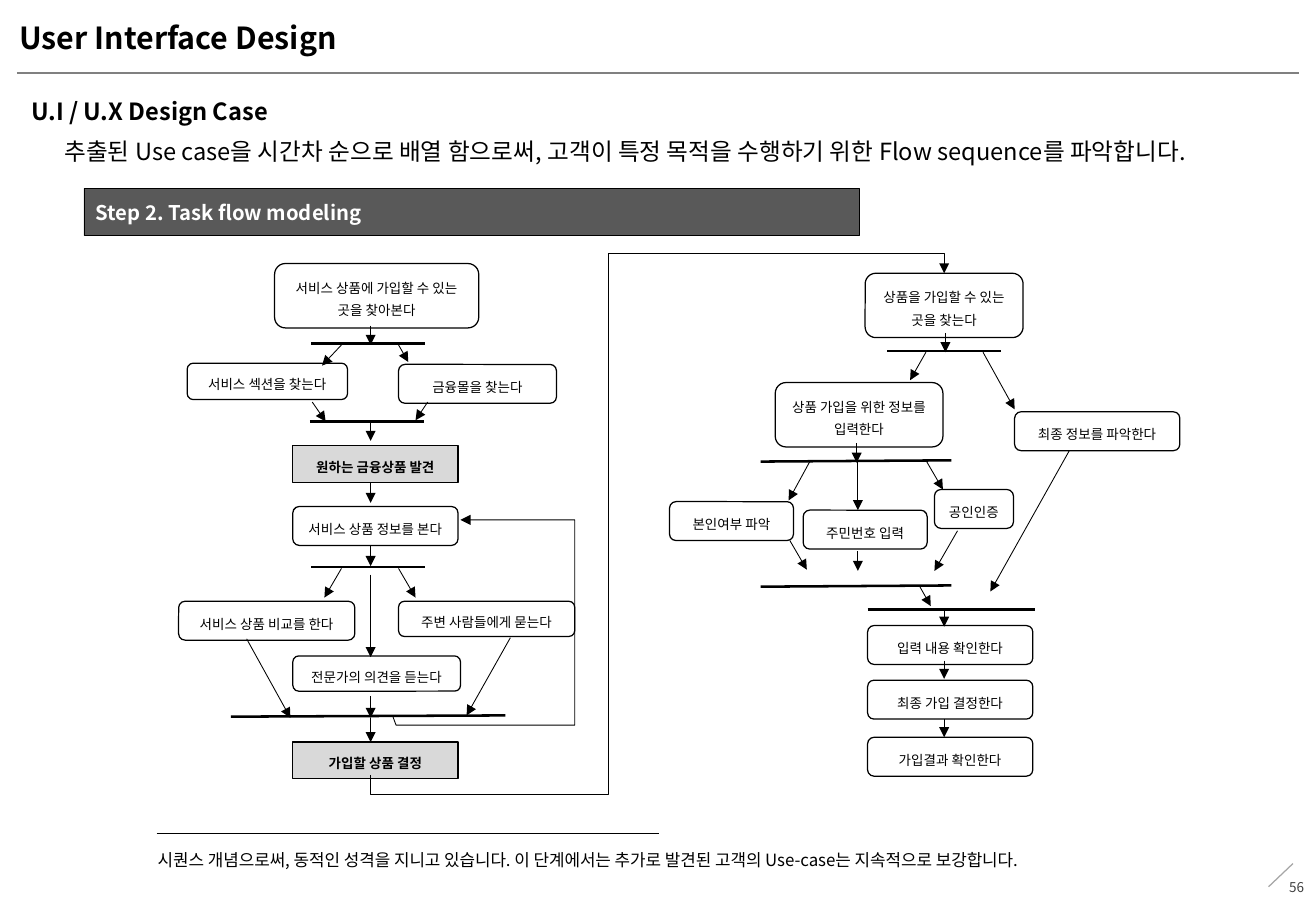
"""Build the task flow modeling slide."""
import pptx
import pptx.dml.color
import pptx.enum.shapes
import pptx.enum.text
import pptx.oxml.ns
import pptx.oxml.xmlchemy
import pptx.util
from lxml import etree

Inches = pptx.util.Inches
Pt = pptx.util.Pt
rgb = pptx.dml.color.RGBColor.from_string
qn = pptx.oxml.ns.qn
Shape = pptx.enum.shapes.MSO_SHAPE
Align = pptx.enum.text.PP_ALIGN
Anchor = pptx.enum.text.MSO_ANCHOR
Fit = pptx.enum.text.MSO_AUTO_SIZE
FONT = "Noto Sans CJK KR"


def write(box, text, size, bold=False, color="000000", align=Align.LEFT,
          anchor=Anchor.TOP, insets=(0.1, 0.05, 0.1, 0.05), spacing=1.0):
    """Put one formatted paragraph into a shape."""
    frame = box.text_frame
    frame.word_wrap = True
    frame.vertical_anchor = anchor
    (frame.margin_left, frame.margin_top,
     frame.margin_right, frame.margin_bottom) = map(Inches, insets)
    para = frame.paragraphs[0]
    para.text = text
    para.alignment = align
    para.line_spacing = spacing
    para.font.size = Pt(size)
    para.font.bold = bold
    para.font.name = FONT
    para.font.color.rgb = rgb(color)
    latin = para._p.pPr.find(qn("a:defRPr")).find(qn("a:latin"))
    east_asian = etree.Element(qn("a:ea"), typeface=FONT)
    latin.addnext(east_asian)


def stroke(shape, width, color="000000", arrow=False):
    """Set the outline of a shape or line, with an optional arrowhead."""
    shape.line.color.rgb = rgb(color)
    shape.line.width = Pt(width)
    if arrow:
        etree.SubElement(shape.line._get_or_add_ln(), qn("a:tailEnd"), type="triangle")


deck = pptx.Presentation()
deck.slide_width, deck.slide_height = Inches(10.83), Inches(7.5)
page = deck.slides.add_slide(deck.slide_layouts[5])
shapes = page.shapes

title = shapes.title
title.left, title.top, title.width, title.height = map(Inches, (0.16, 0.1, 8.09, 0.42))
write(title, "User Interface Design", 18, bold=True, insets=(0, 0.06, 0, 0.06))
title.text_frame.auto_size = Fit.SHAPE_TO_FIT_TEXT

texts = [
    ((0.16, 0.75, 10.54, 0.34), "U.I / U.X Design Case", 14, {"bold": True}),
    ((0.53, 1.08, 9.76, 0.34),
     "추출된 Use case을 시간차 순으로 배열 함으로써, 고객이 특정 목적을 수행하기 위한 Flow sequence를 파악합니다.",
     14, {"insets": (0, 0.05, 0.1, 0.05)}),
    ((1.2, 6.91, 8.47, 0.3),
     "시퀀스 개념으로써, 동적인 성격을 지니고 있습니다. 이 단계에서는 추가로 발견된 고객의 Use-case는 지속적으로 보강합니다.",
     10, {"spacing": 1.2}),
    ((10.22, 7.1, 0.61, 0.4), "56", 8,
     {"color": "404040", "align": Align.RIGHT, "anchor": Anchor.MIDDLE}),
]
for place, text, size, options in texts:
    box = shapes.add_textbox(*map(Inches, place))
    write(box, text, size, **options)

banner = shapes.add_shape(Shape.RECTANGLE, *map(Inches, (0.69, 1.55, 6.38, 0.39)))
banner.shadow.inherit = False
banner.fill.solid()
banner.fill.fore_color.rgb = rgb("595959")
stroke(banner, 0.25)
write(banner, "Step 2. Task flow modeling", 12, bold=True, color="FFFFFF",
      anchor=Anchor.MIDDLE, insets=(0.1, 0, 0.1, 0))

steps = [
    (2.26, 2.17, 1.68, 0.53, "서비스 상품에 가입할 수 있는 곳을 찾아본다"),
    (1.54, 2.99, 1.32, 0.3, "서비스 섹션을 찾는다"),
    (3.28, 3, 1.3, 0.32, "금융몰을 찾는다"),
    (2.41, 4.17, 1.36, 0.32, "서비스 상품 정보를 본다"),
    (1.47, 4.95, 1.45, 0.32, "서비스 상품 비교를 한다"),
    (3.28, 4.95, 1.45, 0.29, "주변 사람들에게 묻는다"),
    (2.41, 5.4, 1.38, 0.29, "전문가의 의견을 듣는다"),
    (7.12, 2.25, 1.3, 0.53, "상품을 가입할 수 있는 곳을 찾는다"),
    (6.38, 3.15, 1.38, 0.53, "상품 가입을 위한 정보를 입력한다"),
    (8.35, 3.39, 1.36, 0.32, "최종 정보를 파악한다"),
    (5.51, 4.13, 1.02, 0.32, "본인여부 파악"),
    (6.61, 4.2, 1.02, 0.32, "주민번호 입력"),
    (7.69, 4.03, 0.65, 0.32, "공인인증"),
    (7.14, 5.15, 1.36, 0.32, "입력 내용 확인한다"),
    (7.14, 5.6, 1.36, 0.32, "최종 가입 결정한다"),
    (7.14, 6.07, 1.36, 0.32, "가입결과 확인한다"),
]
milestones = [
    (2.41, 3.67, 1.36, 0.3, "원하는 금융상품 발견"),
    (2.41, 6.11, 1.36, 0.3, "가입할 상품 결정"),
]
for *place, text in steps + milestones:
    milestone = (*place, text) in milestones
    box = shapes.add_shape(Shape.ROUNDED_RECTANGLE, *map(Inches, place))
    box.adjustments[0] = 0 if milestone else 0.167
    box.shadow.inherit = False
    box.fill.solid()
    box.fill.fore_color.rgb = rgb("D9D9D9" if milestone else "FFFFFF")
    stroke(box, 0.75)
    write(box, text, 8, bold=milestone, align=Align.CENTER,
          anchor=Anchor.MIDDLE, spacing=1.4)

rules = [
    (0.14, 0.6, 10.69, 0.6, 0.75, "808080", False),
    (10.64, 7.11, 10.44, 7.3, 0.75, "A6A6A6", False),
    (1.29, 6.86, 5.42, 6.86, 0.75, "000000", False),
]
bars = [
    (2.56, 2.83, 3.5, 2.83), (2.55, 3.47, 3.49, 3.47), (2.56, 4.67, 3.5, 4.67),
    (1.9, 5.9, 4.16, 5.89), (7.3, 2.89, 8.24, 2.89), (6.26, 3.8, 7.83, 3.79),
    (6.26, 4.83, 7.83, 4.82), (7.14, 5.02, 8.52, 5.02),
]
slanted_arrows = [
    (2.81, 2.84, 2.65, 3.01), (3.28, 2.84, 3.36, 2.98),
    (2.57, 3.31, 2.68, 3.47), (3.52, 3.31, 3.42, 3.46),
    (2.81, 4.68, 2.67, 4.92), (3.28, 4.68, 3.42, 4.92),
    (4.2, 5.25, 3.84, 5.89), (2.03, 5.26, 2.39, 5.91),
    (7.62, 2.9, 7.49, 3.13), (8.09, 2.9, 8.35, 3.37),
    (6.67, 3.79, 6.49, 4.12), (7.62, 3.79, 7.76, 4.03),
    (6.5, 4.45, 6.64, 4.69), (7.88, 4.37, 7.69, 4.7),
    (8.8, 3.71, 8.15, 4.87), (7.57, 4.83, 7.66, 4.99),
]
down_arrows = {
    3.05: [(2.68, 2.84), (3.47, 3.63), (3.98, 4.14), (4.49, 4.66),
           (4.73, 5.41), (5.73, 5.91), (5.91, 6.11)],
    7.05: [(3.65, 3.81)],
    7.06: [(3.79, 4.2), (4.54, 4.7)],
    7.77: [(5.01, 5.16), (5.44, 5.59), (5.92, 6.07)],
    7.78: [(2.74, 2.9)],
}
lines = rules + [(*bar, 1.5, "000000", False) for bar in bars]
lines += [(*arrow, 0.5, "000000", True) for arrow in slanted_arrows]
lines += [(x, top, x, bottom, 0.5, "000000", True)
          for x, spans in down_arrows.items() for top, bottom in spans]
for *ends, width, color, arrow in lines:
    line = shapes.add_connector(pptx.enum.shapes.MSO_CONNECTOR.STRAIGHT, *map(Inches, ends))
    stroke(line, width, color, arrow)
    etree.SubElement(line._element.spPr, qn("a:effectLst"))

routes = [
    [(3.23, 5.89), (3.26, 5.97), (4.73, 5.97), (4.73, 4.28), (3.79, 4.28)],
    [(3.05, 6.38), (3.05, 6.54), (5.01, 6.54), (5.01, 2.09), (7.77, 2.09), (7.77, 2.25)],
]
for route in routes:
    start, *corners = [(Inches(x), Inches(y)) for x, y in route]
    builder = shapes.build_freeform(*start)
    builder.add_line_segments(corners, close=False)
    path_line = builder.convert_to_shape()
    path_line.shadow.inherit = False
    path_line.fill.background()
    stroke(path_line, 0.5, arrow=True)

deck.save("out.pptx")
